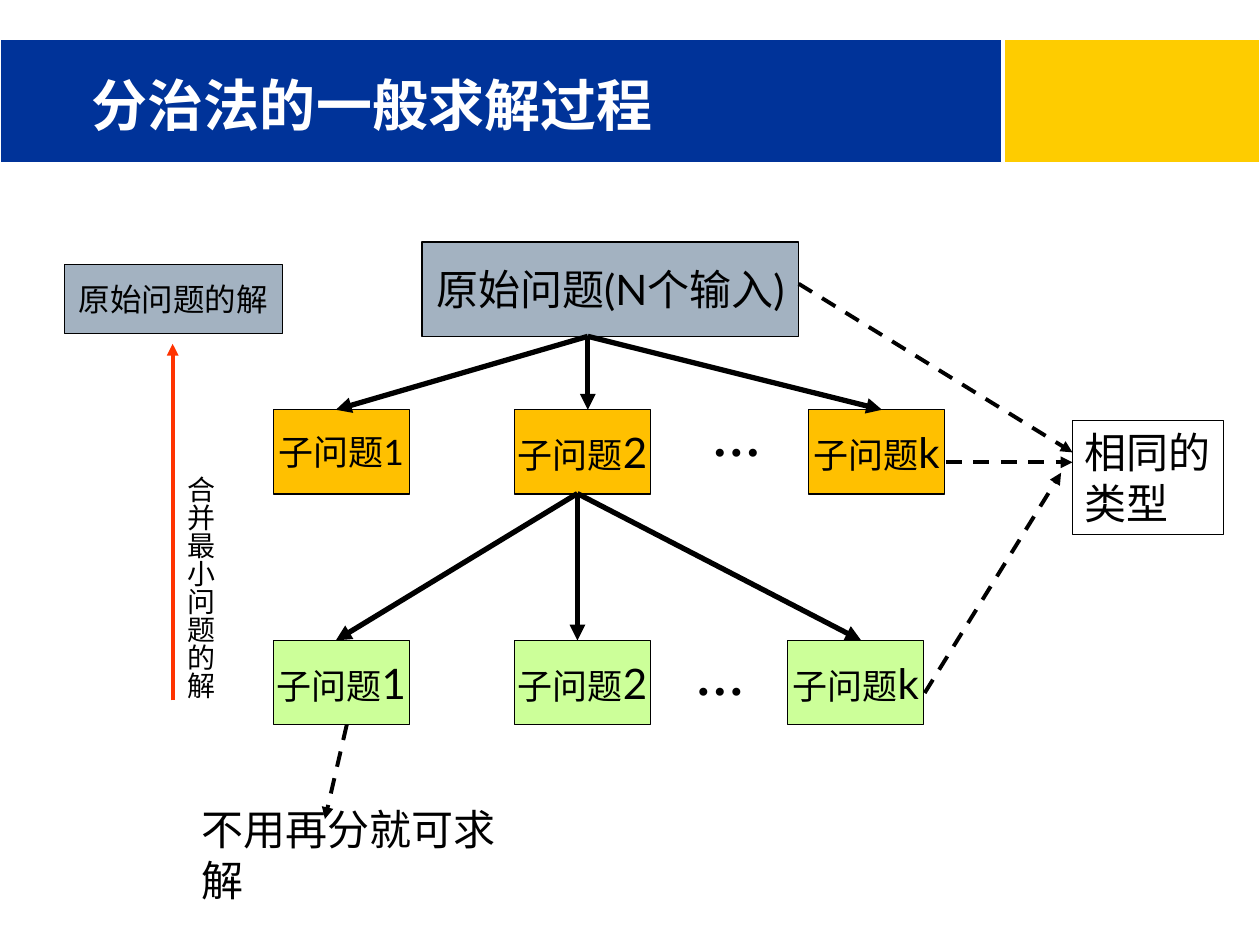
"""Build the slide on the general solving process of divide and conquer."""
from dataclasses import dataclass

from lxml.etree import SubElement
from pptx import Presentation
from pptx.dml.color import RGBColor
from pptx.enum.dml import MSO_LINE_DASH_STYLE as Dash
from pptx.enum.shapes import MSO_CONNECTOR as Connector, MSO_SHAPE as Shape
from pptx.enum.text import MSO_ANCHOR as Anchor, MSO_AUTO_SIZE as AutoSize, PP_ALIGN as Align
from pptx.oxml.ns import qn
from pptx.util import Cm, Pt

COLORS = {
    "blue": "003399", "yellow": "FECC00", "white": "FFFFFF", "black": "000000",
    "slate": "A3B2C1", "orange": "FFC000", "green": "CCFF99", "red": "FF3300",
}
Point = tuple[float, float]
Area = tuple[float, float, float, float]


@dataclass
class Run:
    text: str
    size: float
    font: str = "Lato"
    bold: bool = False


@dataclass
class Level:
    top: float
    fill: str
    lefts: tuple[float, ...]
    labels: tuple[tuple[str, int], ...]
    dots: Point
    fork: Point
    targets: tuple[float, ...]


@dataclass
class Arrow:
    start: Point
    end: Point
    width: float = 2.25
    color: str = "black"
    dashed: bool = True


BOX_WIDTH, BOX_HEIGHT = 2.74, 1.7
LEVELS = [
    Level(8.26, "orange", (5.51, 10.37, 16.3), (("1", 20), ("2", 24), ("k", 24)),
          (14.1, 8.1), (11.85, 6.78), (6.77, 11.85, 17.78)),
    Level(12.91, "green", (5.51, 10.37, 15.88), (("1", 24), ("2", 24), ("k", 24)),
          (13.77, 12.91), (11.64, 9.95), (6.77, 11.64, 17.36)),
]
LINKS = [
    Arrow((16.1, 5.72), (21.62, 9.12)),
    Arrow((19.07, 9.32), (21.62, 9.32)),
    Arrow((18.64, 13.97), (21.39, 9.53)),
    Arrow((6.99, 14.61), (6.55, 16.51)),
    Arrow((3.48, 14.12), (3.48, 6.93), color="red", dashed=False),
]


def rgb(name: str) -> RGBColor:
    return RGBColor.from_string(COLORS[name])


def style_run(run, size: float, font: str, color: str, bold: bool = False) -> None:
    run.font.size, run.font.name, run.font.bold = Pt(size), font, bold
    run.font.color.rgb = rgb(color)


def draw_box(shapes, area: Area, fill: str, line: str = "black", runs: tuple[Run, ...] = ()):
    box = shapes.add_shape(Shape.RECTANGLE, *map(Cm, area))
    box.shadow.inherit = False
    box.fill.solid()
    box.fill.fore_color.rgb = rgb(fill)
    box.line.color.rgb = rgb(line)
    box.line.width = Pt(0.75)
    frame = box.text_frame
    frame.word_wrap = False
    frame.vertical_anchor = Anchor.MIDDLE
    paragraph = frame.paragraphs[0]
    paragraph.alignment = Align.CENTER
    for part in runs:
        run = paragraph.add_run()
        run.text = part.text
        style_run(run, part.size, part.font, "black", part.bold)
    return box


def draw_note(shapes, area: Area, note: Run):
    box = shapes.add_textbox(*map(Cm, area))
    frame = box.text_frame
    frame.word_wrap = False
    frame.auto_size = AutoSize.SHAPE_TO_FIT_TEXT
    frame.text = note.text
    for paragraph in frame.paragraphs:
        style_run(paragraph.runs[0], note.size, note.font, "black", note.bold)
    return box


def draw_arrow(shapes, arrow: Arrow) -> None:
    link = shapes.add_connector(Connector.STRAIGHT, *map(Cm, arrow.start + arrow.end))
    link.line.color.rgb = rgb(arrow.color)
    link.line.width = Pt(arrow.width)
    if arrow.dashed:
        link.line.dash_style = Dash.DASH
    SubElement(link.line._get_or_add_ln(), qn("a:tailEnd"), type="triangle")
    SubElement(link._element.spPr, qn("a:effectLst"))


def draw_level(shapes, level: Level) -> None:
    for left, (label, size) in zip(level.lefts, level.labels):
        draw_box(shapes, (left, level.top, BOX_WIDTH, BOX_HEIGHT), level.fill,
                 runs=(Run("子问题", 20), Run(label, size)))
    draw_note(shapes, (*level.dots, 1.5, 1.45), Run("…", 28, "Times New Roman", True))
    for target in level.targets:
        draw_arrow(shapes, Arrow(level.fork, (target, level.top), 3, dashed=False))


def draw_title(shapes) -> None:
    draw_box(shapes, (20.24, 0.79, 5.16, 2.49), "yellow", "white")
    draw_box(shapes, (0, 0.79, 20.19, 2.49), "blue", "white")
    title = shapes.title
    shapes._spTree.append(title._element)
    title.left, title.top, title.width, title.height = map(Cm, (1.6, 0.84, 22.22, 2.06))
    frame = title.text_frame
    frame.text = "分治法的一般求解过程"
    frame.auto_size = AutoSize.NONE
    frame.vertical_anchor = Anchor.BOTTOM
    paragraph = frame.paragraphs[0]
    paragraph.alignment = Align.LEFT
    style_run(paragraph.runs[0], 32, "Times New Roman", "white", True)


def draw_merge_label(shapes) -> None:
    frame = draw_note(shapes, (3.35, 9.35, 1.17, 4.78), Run("合并最小问题的解", 16)).text_frame
    frame.margin_left = frame.margin_right = Cm(0.13)
    frame.margin_top = frame.margin_bottom = Cm(0.25)
    frame._txBody.bodyPr.set("vert", "eaVert")


def main() -> None:
    deck = Presentation()
    deck.slide_width, deck.slide_height = Cm(25.4), Cm(19.05)
    shapes = deck.slides.add_slide(deck.slide_layouts[5]).shapes
    draw_title(shapes)
    draw_box(shapes, (8.51, 4.88, 7.59, 1.9), "slate", runs=(Run("原始问题(N个输入)", 24),))
    for level in LEVELS:
        draw_level(shapes, level)
    same_type = draw_note(shapes, (21.62, 8.48, 3.05, 2.29), Run("相同的\n类型", 24))
    same_type.line.color.rgb = rgb("black")
    same_type.line.width = Pt(0.75)
    draw_note(shapes, (3.81, 16.08, 7.26, 1.27), Run("不用再分就可求解", 24))
    for link in LINKS:
        draw_arrow(shapes, link)
    draw_merge_label(shapes)
    draw_box(shapes, (1.3, 5.33, 4.39, 1.4), "slate",
             runs=(Run("原始问题的解", 18, "DejaVu Sans"),))
    deck.save("out.pptx")


if __name__ == "__main__":
    main()
